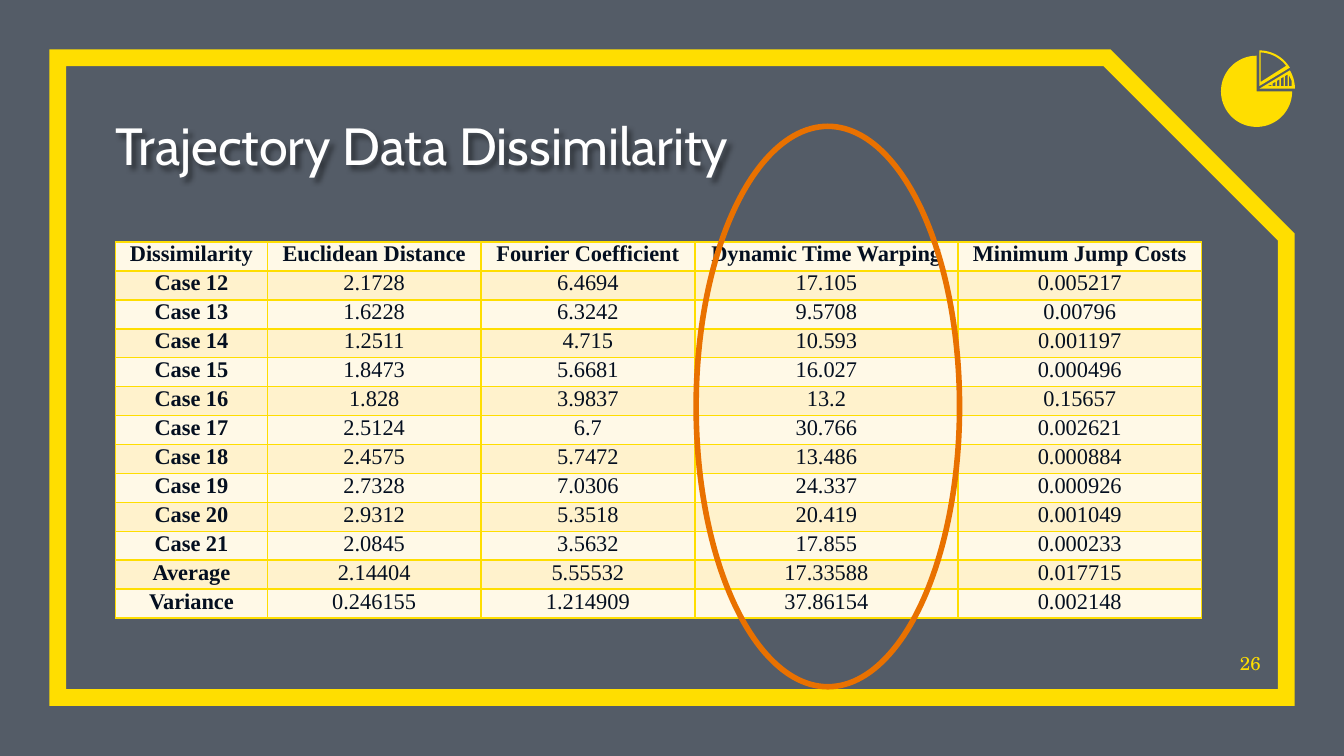
from dataclasses import dataclass
from math import cos, radians, sin

from pptx import Presentation
from pptx.dml.color import RGBColor as RGB
from pptx.enum.shapes import MSO_SHAPE as SHAPE
from pptx.enum.text import MSO_ANCHOR as ANCHOR, PP_ALIGN as ALIGN
from pptx.oxml import parse_xml
from pptx.oxml.ns import nsdecls
from pptx.oxml.xmlchemy import OxmlElement as Element
from pptx.util import Inches, Pt


@dataclass(frozen=True)
class Theme:
    navy: str = "040F20"
    gold: str = "FFDE00"
    white: str = "FFFFFF"
    orange: str = "E97100"
    bands: tuple = ("FFF9E7", "FFF2CC")
    head: str = "Cabin"
    serif: str = "TeX Gyre Schola"
    grid: str = "Times New Roman"
    big: int = 28
    body: int = 12
    small: int = 10


THEME = Theme()
RADIUS = 0.53 / 2
WIDTHS = (1.13, 1.59, 1.59, 1.96, 1.81)
ROWS = (
    ("Dissimilarity", "Euclidean Distance", "Fourier Coefficient",
     "Dynamic Time Warping", "Minimum Jump Costs"),
    ("Case 12", "2.1728", "6.4694", "17.105", "0.005217"),
    ("Case 13", "1.6228", "6.3242", "9.5708", "0.00796"),
    ("Case 14", "1.2511", "4.715", "10.593", "0.001197"),
    ("Case 15", "1.8473", "5.6681", "16.027", "0.000496"),
    ("Case 16", "1.828", "3.9837", "13.2", "0.15657"),
    ("Case 17", "2.5124", "6.7", "30.766", "0.002621"),
    ("Case 18", "2.4575", "5.7472", "13.486", "0.000884"),
    ("Case 19", "2.7328", "7.0306", "24.337", "0.000926"),
    ("Case 20", "2.9312", "5.3518", "20.419", "0.001049"),
    ("Case 21", "2.0845", "3.5632", "17.855", "0.000233"),
    ("Average", "2.14404", "5.55532", "17.33588", "0.017715"),
    ("Variance", "0.246155", "1.214909", "37.86154", "0.002148"),
)


def box(*sides):
    return [Inches(side) for side in sides]


def paint(fill, color):
    fill.solid()
    fill.fore_color.rgb = RGB.from_string(color)


def style(para, face, size, color, align, bold=False):
    para.alignment = align
    for run in para.runs:
        font = run.font
        font.name, font.size, font.bold = face, Pt(size), bold
        font.color.rgb = RGB.from_string(color)


def trim(frame):
    frame.margin_left = frame.margin_right = 0
    frame.margin_top = frame.margin_bottom = 0
    frame.vertical_anchor = ANCHOR.BOTTOM
    frame.word_wrap = True


def add_veil(slide, width, height):
    veil = slide.shapes.add_shape(SHAPE.RECTANGLE, 0, 0, width, height)
    veil.shadow.inherit = False
    veil.line.fill.background()
    paint(veil.fill, THEME.navy)
    alpha = Element("a:alpha")
    alpha.set("val", "68000")
    veil.fill._xPr.solidFill[0].append(alpha)


def add_ring(slide, kind, place, color, weight):
    ring = slide.shapes.add_shape(kind, *box(*place))
    ring.shadow.inherit = False
    ring.fill.background()
    paint(ring.line.fill, color)
    ring.line.width = Pt(weight)
    miter = Element("a:miter")
    miter.set("lim", "800000")
    ring.line._ln.append(miter)
    return ring


def add_title(slide, text):
    title = slide.shapes.title
    title.left, title.top, title.width, title.height = box(0.86, 0.78, 7.35, 0.53)
    frame = title.text_frame
    frame.text = text
    trim(frame)
    style(frame.paragraphs[0], THEME.head, THEME.big, THEME.white, ALIGN.LEFT)
    title._element.spPr.append(parse_xml(
        f'<a:effectLst {nsdecls("a")}><a:outerShdw blurRad="38100" dist="38100" '
        'dir="2700000"><a:srgbClr val="000000"><a:alpha val="43000"/>'
        '</a:srgbClr></a:outerShdw></a:effectLst>'))
    slide.shapes._spTree.append(title._element)


def add_page(slide, text):
    frame = slide.shapes.add_textbox(*box(9.11, 4.74, 0.27, 0.28)).text_frame
    frame.text = text
    trim(frame)
    style(frame.paragraphs[0], THEME.serif, THEME.small, THEME.gold, ALIGN.RIGHT)


def arc(x, y, radius, start, end, steps=16):
    turns = [radians(start + (end - start) * i / steps) for i in range(steps + 1)]
    return [(x + radius * cos(turn), y + radius * sin(turn)) for turn in turns]


def add_form(group, *loops):
    loops = [[box(*point) for point in loop] for loop in loops]
    pen = group.shapes.build_freeform(*loops[0][0], scale=1.0)
    for i, loop in enumerate(loops):
        if i:
            pen.move_to(*loop[0])
        pen.add_line_segments(loop[1:], close=True)
    form = pen.convert_to_shape()
    form.shadow.inherit = False
    form.line.fill.background()
    paint(form.fill, THEME.gold)


def add_icon(slide):
    group = slide.shapes.add_group_shape()
    add_form(group, [(9.35, 0.68)] + arc(9.35, 0.68, RADIUS, 0, 270, 60))
    bars = []
    for i in range(4):
        left = 9.47 + 0.03 * i
        right = left + 0.02
        tops = [0.68 - 0.6 * (x - 9.37) for x in (left, right)]
        bars.append([(left, 0.64), (left, tops[0]), (right, tops[1]), (right, 0.64)])
    add_form(group, [(9.37, 0.66)] + arc(9.37, 0.66, RADIUS, 0, -31),
             [(9.43, 0.64), (9.46, 0.63), (9.46, 0.64)], *bars,
             [(9.59, 0.64), (9.59, 0.56), (9.6, 0.58), (9.61, 0.6), (9.61, 0.64)])
    add_form(group, [(9.37, 0.64)] + arc(9.37, 0.64, RADIUS, -90, -31),
             [(9.38, 0.61)] + arc(9.37, 0.64, 0.25, -88, -37))


def add_edges(cell):
    for side in "LRTB":
        cell._tc.get_or_add_tcPr().append(parse_xml(
            f'<a:ln{side} {nsdecls("a")} w="{Pt(1)}"><a:solidFill>'
            f'<a:srgbClr val="{THEME.gold}"/></a:solidFill></a:ln{side}>'))


def add_grid(slide, rows):
    grid = slide.shapes.add_table(
        len(rows), len(WIDTHS), *box(0.86, 1.8, sum(WIDTHS), 2.8)).table
    grid.horz_banding = False
    for col, width in zip(grid.columns, WIDTHS):
        col.width = Inches(width)
    for i, row in enumerate(rows):
        for j, text in enumerate(row):
            cell = grid.cell(i, j)
            cell.text = text
            cell.margin_left = cell.margin_right = Inches(0.07)
            cell.margin_top = cell.margin_bottom = 0
            style(cell.text_frame.paragraphs[0], THEME.grid, THEME.body,
                  THEME.navy, ALIGN.CENTER, i == 0 or j == 0)
            add_edges(cell)
            paint(cell.fill, THEME.bands[i % 2])


def main():
    deck = Presentation()
    deck.slide_width = Inches(10)
    deck.slide_height = deck.slide_width * 9 // 16
    slide = deck.slides.add_slide(deck.slide_layouts[5])
    add_veil(slide, deck.slide_width, deck.slide_height)
    frame = add_ring(slide, SHAPE.SNIP_1_RECTANGLE, (0.43, 0.43, 9.14, 4.76),
                     THEME.gold, 9)
    frame.adjustments[0] = 0.28
    add_title(slide, "Trajectory Data Dissimilarity")
    add_page(slide, "26")
    add_icon(slide)
    add_grid(slide, ROWS)
    add_ring(slide, SHAPE.OVAL, (5.18, 0.94, 1.96, 4.17), THEME.orange, 3)
    deck.save("out.pptx")


if __name__ == "__main__":
    main()
